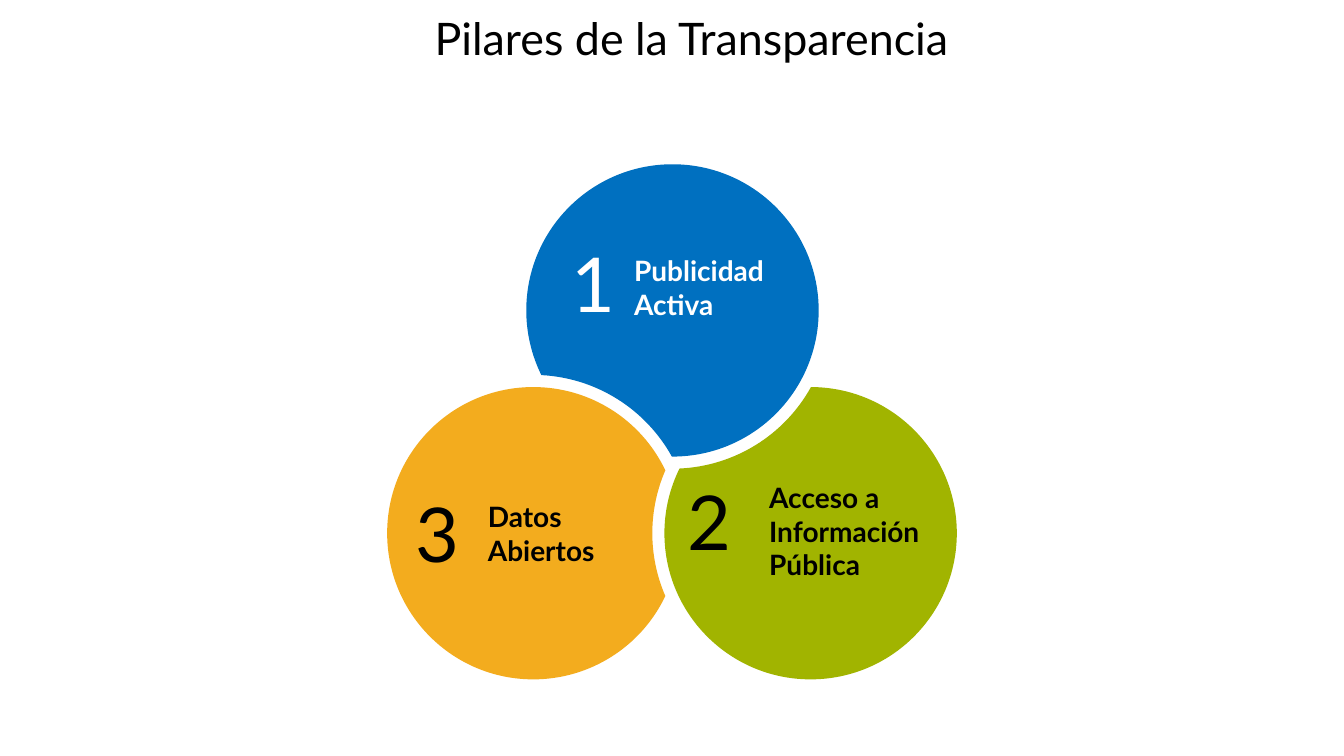
from dataclasses import dataclass
from math import acos, atan2, ceil, cos, floor, hypot, pi, sin, tan

from lxml.etree import SubElement
from pptx import Presentation
from pptx.dml.color import RGBColor
from pptx.enum.shapes import MSO_SHAPE
from pptx.enum.text import MSO_ANCHOR, MSO_AUTO_SIZE, PP_ALIGN
from pptx.oxml.ns import qn
from pptx.shapes.autoshape import Shape
from pptx.util import Emu, Pt

EMU_PER_PX = 9144
RADIUS = 145
GAP = 12
FONT = "Lato"
WHITE = "FFFFFF"
BLACK = "000000"

Point = tuple[float, float]
Frame = tuple[int, int, int, int]


@dataclass
class Pillar:
    number: str
    label: str
    fill: str
    ink: str
    center: Point
    cutter: Point
    number_frame: Frame
    label_frame: Frame
    wrap: bool = False


TOP, RIGHT, LEFT = (667, 308), (804, 529), (529, 529)
PILLARS = [
    Pillar("1", "Publicidad\nActiva", "0070C0", WHITE, TOP, LEFT,
           (557, 229, 64, 101), (619, 247, 157, 77)),
    Pillar("3", "Datos\nAbiertos", "F3AC1E", BLACK, LEFT, RIGHT,
           (402, 478, 64, 101), (474, 491, 127, 77)),
    Pillar("2", "Acceso a Información Pública", "A1B400", BLACK, RIGHT, TOP,
           (672, 466, 64, 101), (753, 472, 182, 111), wrap=True),
]


def px(value: float) -> Emu:
    return Emu(round(value * EMU_PER_PX))


def color(value: str) -> RGBColor:
    return RGBColor.from_string(value)


def arc(center: Point, radius: float, start: float, end: float) -> list[Point]:
    """Bézier points of an arc, split at the quadrants, without its first point."""
    low, high = sorted((start, end))
    quarter = pi / 2
    turns = [step * quarter for step in range(ceil(low / quarter), floor(high / quarter) + 1)]
    angles = sorted([start, *turns, end], reverse=start > end)
    points = []
    for first, last in zip(angles, angles[1:]):
        reach = 4 / 3 * tan((last - first) / 4)
        for angle, pull in ((first, reach), (last, -reach), (last, 0)):
            points.append((center[0] + radius * (cos(angle) - pull * sin(angle)),
                           center[1] + radius * (sin(angle) + pull * cos(angle))))
    return points


def bitten_circle(center: Point, cutter: Point) -> list[Point]:
    """Bézier outline of a circle minus its neighbour enlarged by the gap."""
    across, down = cutter[0] - center[0], cutter[1] - center[1]
    distance, heading = hypot(across, down), atan2(down, across)
    bite = RADIUS + GAP
    outer = acos((RADIUS**2 + distance**2 - bite**2) / (2 * RADIUS * distance))
    inner = acos((bite**2 + distance**2 - RADIUS**2) / (2 * bite * distance))
    curves = (arc(center, RADIUS, heading + outer, heading + 2 * pi - outer)
              + arc(cutter, bite, heading + pi + inner, heading + pi - inner))
    return [curves[-1], *curves]


def bend_lines(shape: Shape) -> None:
    """Turn each three line segments of a freeform into one Bézier curve."""
    outline = next(shape.element.iter(qn("a:path")))
    lines = outline.findall(qn("a:lnTo"))
    for first in range(0, len(lines), 3):
        curve = SubElement(outline, qn("a:cubicBezTo"))
        for line in lines[first:first + 3]:
            curve.append(line[0])
            outline.remove(line)
    outline.append(outline.find(qn("a:close")))


def paint(shape: Shape, fill: str) -> None:
    shape.shadow.inherit = False
    shape.fill.solid()
    shape.fill.fore_color.rgb = color(fill)
    shape.line.fill.background()


def write(shape: Shape, text: str, size: int, ink: str, bold: bool = False,
          align: PP_ALIGN = PP_ALIGN.LEFT) -> None:
    shape.text_frame.text = text
    for paragraph in shape.text_frame.paragraphs:
        paragraph.alignment = align
        for span in paragraph.runs:
            span.font.name = FONT
            span.font.size = Pt(size)
            span.font.bold = bold
            span.font.color.rgb = color(ink)


def add_circle(page, pillar: Pillar) -> None:
    start, *rest = [(px(x), px(y)) for x, y in bitten_circle(pillar.center, pillar.cutter)]
    builder = page.shapes.build_freeform(*start)
    builder.add_line_segments(rest, close=True)
    circle = builder.convert_to_shape()
    bend_lines(circle)
    paint(circle, pillar.fill)


def add_box(shapes, frame: Frame, wrap: bool = False) -> Shape:
    box = shapes.add_textbox(*map(px, frame))
    box.text_frame.word_wrap = wrap
    box.text_frame.auto_size = MSO_AUTO_SIZE.SHAPE_TO_FIT_TEXT
    return box


def add_caption(page, pillar: Pillar) -> None:
    group = page.shapes.add_group_shape()
    label = add_box(group.shapes, pillar.label_frame, pillar.wrap)
    write(label, pillar.label, 20, pillar.ink, bold=True)
    number = add_box(group.shapes, pillar.number_frame)
    number.text_frame.vertical_anchor = MSO_ANCHOR.MIDDLE
    write(number, pillar.number, 54, pillar.ink, align=PP_ALIGN.CENTER)


def add_title(page) -> None:
    title = page.shapes.add_shape(MSO_SHAPE.RECTANGLE, *map(px, (186, 13, 1000, 78)))
    paint(title, WHITE)
    frame = title.text_frame
    frame.word_wrap = True
    frame.vertical_anchor = MSO_ANCHOR.TOP
    frame.margin_left = frame.margin_right = px(7)
    frame.margin_top = frame.margin_bottom = px(4)
    write(title, "Pilares de la Transparencia", 32, BLACK, align=PP_ALIGN.CENTER)
    frame.paragraphs[0].line_spacing = 0.9


def main() -> None:
    deck = Presentation()
    deck.slide_width, deck.slide_height = px(1333), px(750)
    page = deck.slides.add_slide(deck.slide_layouts[6])
    for pillar in PILLARS:
        add_circle(page, pillar)
    for pillar in sorted(PILLARS, key=lambda item: item.number):
        add_caption(page, pillar)
    add_title(page)
    deck.save("out.pptx")


if __name__ == "__main__":
    main()
